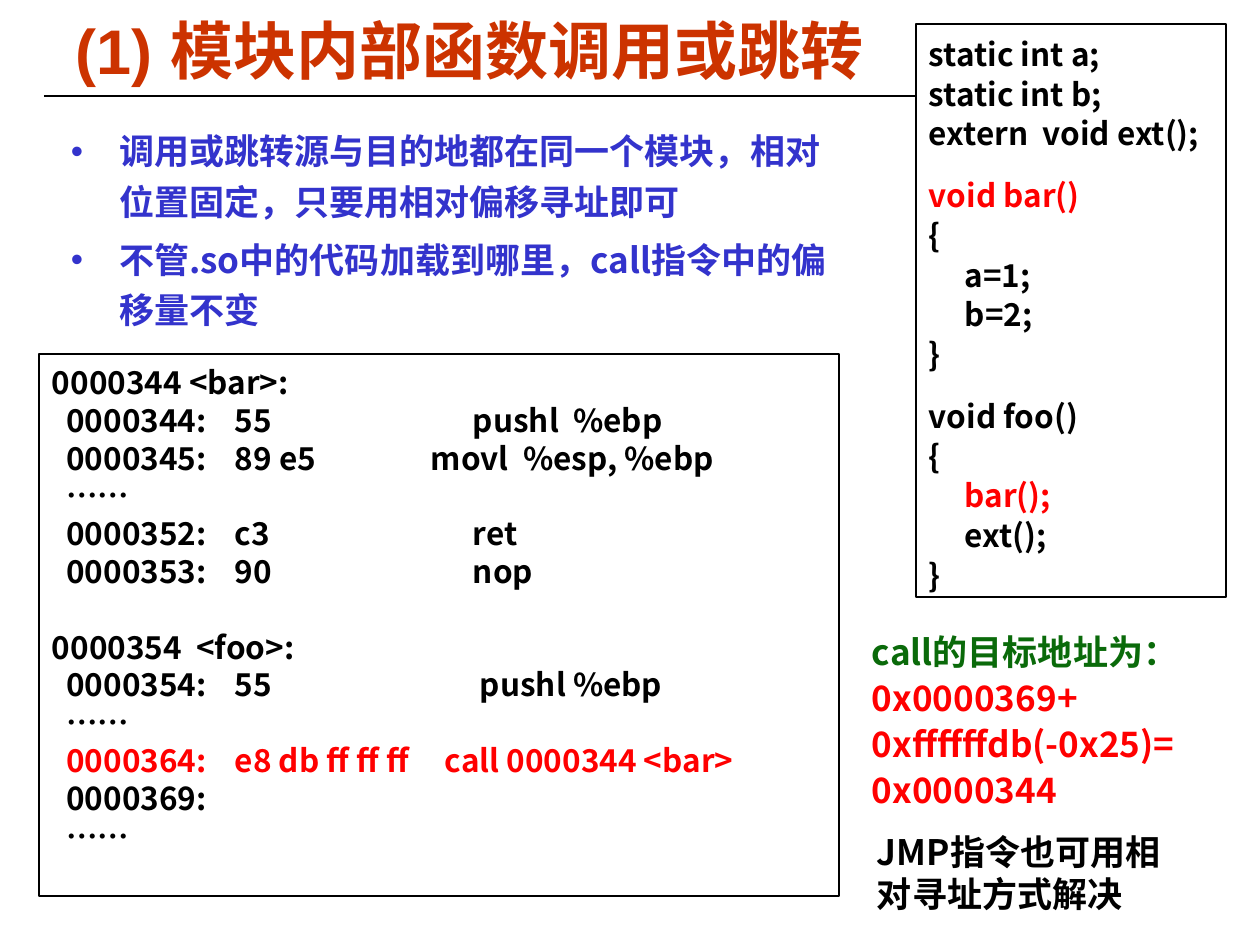
from lxml import etree
from pptx import Presentation
from pptx.dml.color import RGBColor
from pptx.enum.shapes import MSO_CONNECTOR, MSO_SHAPE
from pptx.enum.text import MSO_ANCHOR, PP_ALIGN
from pptx.oxml.ns import qn
from pptx.util import Emu, Pt

RECTANGLE = MSO_SHAPE.RECTANGLE
STRAIGHT = MSO_CONNECTOR.STRAIGHT
TOP, MIDDLE = MSO_ANCHOR.TOP, MSO_ANCHOR.MIDDLE
LEFT = PP_ALIGN.LEFT

BLACK = RGBColor(0x00, 0x00, 0x00)
WHITE = RGBColor(0xFF, 0xFF, 0xFF)
RED = RGBColor(0xFF, 0x00, 0x00)
BLUE = RGBColor(0x33, 0x33, 0xCC)
GREEN = RGBColor(0x0A, 0x6A, 0x0A)
ORANGE = RGBColor(0xCC, 0x33, 0x00)

BODY_FONT = "Noto Sans CJK SC"
TITLE_FONT = "Arial"
EMU_PER_PX = 914400 // 126
SIDE_INSET, TOP_INSET = 13, 9
BULLET_INDENT = 48
BYTES_TAB = 183

BULLETS = [
    "调用或跳转源与目的地都在同一个模块，相对位置固定，只要用相对偏移寻址即可",
    "不管.so中的代码加载到哪里，call指令中的偏移量不变",
]
# Each line: text, colour, space before in points
SOURCE_CODE = [
    ("static int a;", BLACK, 0),
    ("static int b;", BLACK, 0),
    ("extern  void ext();", BLACK, 0),
    ("void bar()", RED, 12.6),
    ("{", BLACK, 0),
    ("     a=1;", BLACK, 0),
    ("     b=2;", BLACK, 0),
    ("}", BLACK, 0),
    ("void foo()", BLACK, 12.6),
    ("{", BLACK, 0),
    ("     bar();", RED, 0),
    ("     ext();", BLACK, 0),
    ("}", BLACK, 0),
]
# Each line: text, colour, space before in points, tab of the instruction in px
DISASSEMBLY = [
    ("0000344 <bar>:", BLACK, 0, None),
    ("  0000344:\t55\tpushl  %ebp", BLACK, 0, 421),
    ("  0000345:\t89 e5\tmovl  %esp, %ebp", BLACK, 0, 379),
    ("  ……", BLACK, 0, None),
    ("  0000352:\tc3\tret", BLACK, 0, 421),
    ("  0000353:\t90\tnop", BLACK, 0, 421),
    ("0000354  <foo>:", BLACK, 21.6, None),
    ("  0000354:\t55\tpushl %ebp", BLACK, 0, 428),
    ("  ……", BLACK, 0, None),
    ("  0000364:\te8 db ff ff ff\tcall 0000344 <bar>", RED, 0, 393),
    ("  0000369:", BLACK, 0, None),
    ("  ……", BLACK, 0, None),
]
TARGET_ADDRESS = [
    ("call的目标地址为：", GREEN),
    ("0x0000369+", RED),
    ("0xffffffdb(-0x25)=", RED),
    ("0x0000344", RED),
]


def px(value):
    return Emu(value * EMU_PER_PX)


def prepare_frame(shape, anchor=TOP, top_inset=TOP_INSET):
    frame = shape.text_frame
    frame.word_wrap = True
    frame.vertical_anchor = anchor
    frame.margin_left = frame.margin_right = px(SIDE_INSET)
    frame.margin_top = px(top_inset)
    frame.margin_bottom = 0
    return frame


def add_text_box(slide, left, top, width, height, **frame_options):
    shape = slide.shapes.add_textbox(px(left), px(top), px(width), px(height))
    return prepare_frame(shape, **frame_options)


def add_code_box(slide, left, top, width, height):
    shape = slide.shapes.add_shape(RECTANGLE, px(left), px(top), px(width), px(height))
    shape.shadow.inherit = False
    shape.fill.solid()
    shape.fill.fore_color.rgb = WHITE
    shape.line.color.rgb = BLACK
    shape.line.width = Pt(0.75)
    return prepare_frame(shape)


def add_rule(slide, left, right, y):
    rule = slide.shapes.add_connector(STRAIGHT, px(left), px(y), px(right), px(y))
    rule.line.color.rgb = BLACK
    rule.line.width = Pt(0.75)
    etree.SubElement(rule.element.spPr, qn("a:effectLst"))


def add_paragraph(frame, text, color, size, pitch=None, space_before=0, font=BODY_FONT):
    """Add one paragraph; pitch is its line height in points."""
    first = frame.paragraphs[0]
    paragraph = frame.add_paragraph() if first.runs else first
    paragraph.alignment = LEFT
    paragraph.space_before = Pt(space_before)
    if pitch:
        paragraph.line_spacing = Pt(pitch)
    run = paragraph.add_run()
    run.text = text
    run.font.size = Pt(size)
    run.font.bold = True
    run.font.name = font
    run.font.color.rgb = color
    east_asian = etree.SubElement(run.font._element, qn("a:ea"))
    east_asian.set("typeface", BODY_FONT)
    return paragraph


def add_bullet(paragraph, color):
    properties = paragraph._p.get_or_add_pPr()
    properties.set("marL", str(px(BULLET_INDENT)))
    properties.set("indent", str(-px(BULLET_INDENT)))
    bullet_color = etree.SubElement(properties, qn("a:buClr"))
    etree.SubElement(bullet_color, qn("a:srgbClr")).set("val", str(color))
    etree.SubElement(properties, qn("a:buFont")).set("typeface", TITLE_FONT)
    etree.SubElement(properties, qn("a:buChar")).set("char", "•")


def add_tabs(paragraph, positions):
    tab_list = etree.SubElement(paragraph._p.get_or_add_pPr(), qn("a:tabLst"))
    for position in positions:
        tab = etree.SubElement(tab_list, qn("a:tab"))
        tab.set("pos", str(px(position)))
        tab.set("algn", "l")


def main():
    presentation = Presentation()
    presentation.slide_width = px(1260)
    presentation.slide_height = px(945)
    slide = presentation.slides.add_slide(presentation.slide_layouts[6])

    add_rule(slide, 44, 1216, 96)
    title = add_text_box(slide, 63, 11, 1134, 77, anchor=MIDDLE, top_inset=0)
    add_paragraph(title, "(1) 模块内部函数调用或跳转", ORANGE, 36, font=TITLE_FONT)

    points = add_text_box(slide, 58, 113, 801, 213)
    for index, text in enumerate(BULLETS):
        paragraph = add_paragraph(points, text, BLUE, 20, 28.6, 5 if index else 0)
        add_bullet(paragraph, BLUE)

    source = add_code_box(slide, 916, 24, 310, 573)
    for text, color, space_before in SOURCE_CODE:
        add_paragraph(source, text, color, 18, 22.7, space_before)

    disassembly = add_code_box(slide, 39, 354, 800, 542)
    for text, color, space_before, instruction_tab in DISASSEMBLY:
        paragraph = add_paragraph(disassembly, text, color, 18, 21.6, space_before)
        if instruction_tab:
            add_tabs(paragraph, (BYTES_TAB, instruction_tab))

    target = add_text_box(slide, 859, 622, 360, 194)
    for index, (text, color) in enumerate(TARGET_ADDRESS):
        add_paragraph(target, text, color, 20, 23.8, 2.5 if index else 0)

    jump_note = add_text_box(slide, 864, 822, 320, 97)
    add_paragraph(jump_note, "JMP指令也可用相对寻址方式解决", BLACK, 20, 24)

    presentation.save("out.pptx")


if __name__ == "__main__":
    main()
